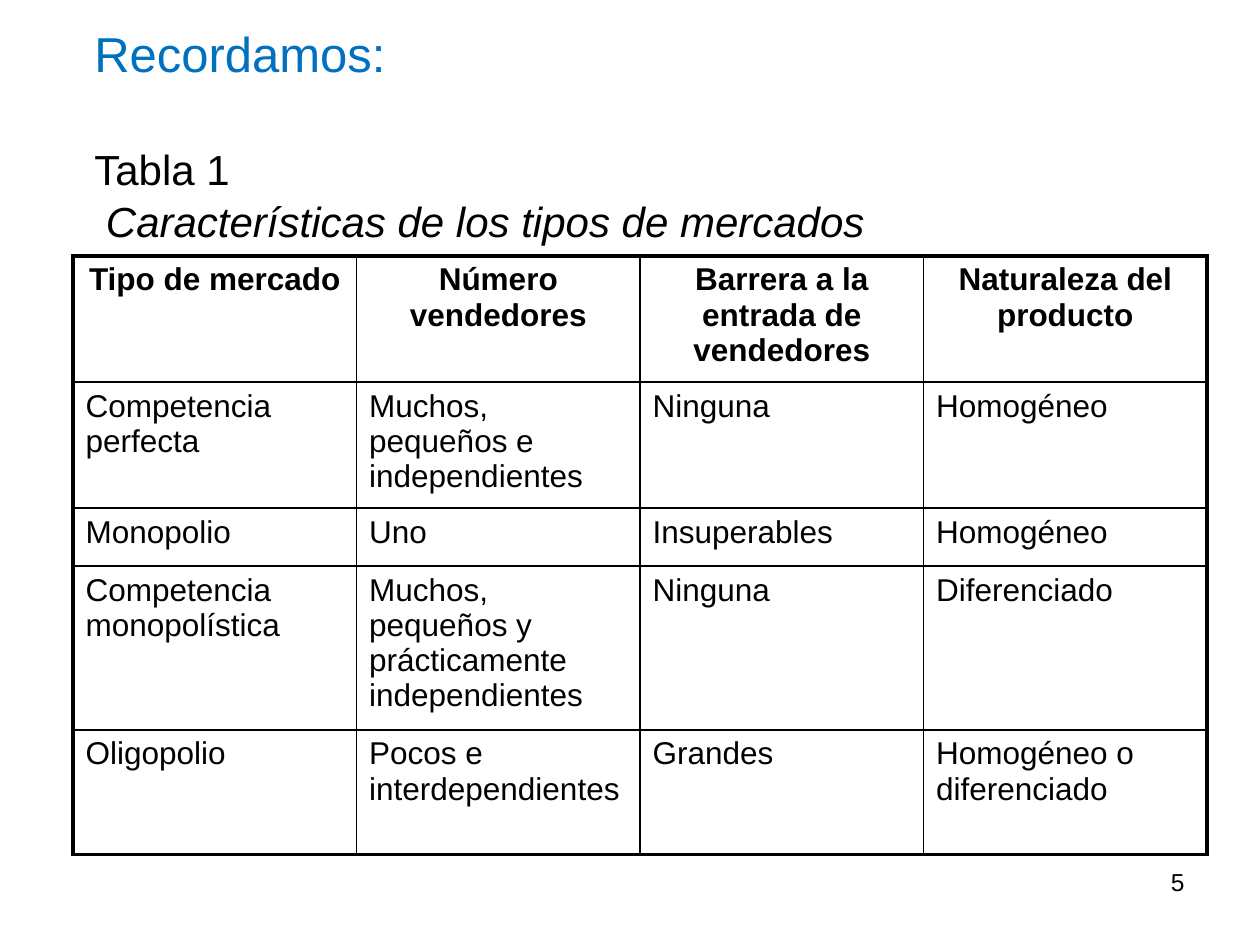
import pptx
import pptx.util
import pptx.dml.color
import pptx.enum.text
import pptx.oxml.ns
from lxml import etree

Pt = pptx.util.Pt
Align = pptx.enum.text.PP_ALIGN
BLACK = pptx.dml.color.RGBColor(0, 0, 0)
BLUE = pptx.dml.color.RGBColor(0x00, 0x70, 0xC0)
WIDE, HIGH = pptx.util.Inches(10), pptx.util.Inches(7.5)
THIN, THICK = Pt(1), Pt(2.25)

ROWS = [
    ["Tipo de mercado", "Número vendedores",
     "Barrera a la entrada de vendedores", "Naturaleza del producto"],
    ["Competencia perfecta", "Muchos, pequeños e independientes",
     "Ninguna", "Homogéneo"],
    ["Monopolio", "Uno", "Insuperables", "Homogéneo"],
    ["Competencia monopolística",
     "Muchos, pequeños y prácticamente independientes",
     "Ninguna", "Diferenciado"],
    ["Oligopolio", "Pocos e interdependientes",
     "Grandes", "Homogéneo o diferenciado"],
]
TALLS = [0.99, 0.99, 0.46, 1.22, 0.99]
HEADS = [
    ("Recordamos:", {"size": Pt(28)}, BLUE, 0),
    ("Tabla 1", {"size": Pt(24)}, BLACK, 35),
    (" Características de los tipos de mercados",
     {"size": Pt(24), "italic": True}, BLACK, 1),
]


def share(left, top, wide, high):
    """Turn shares of the slide into a box of lengths."""
    return (round(left * WIDE), round(top * HIGH),
            round(wide * WIDE), round(high * HIGH))


def style(para, form, color=BLACK, align=Align.LEFT):
    """Set the look of a paragraph from a dict of font values."""
    para.alignment = align
    for key, val in {"name": "Arial", **form}.items():
        setattr(para.font, key, val)
    para.font.color.rgb = color


def frame(slide, box):
    """Add a wrapping text box and return its text frame."""
    text = slide.shapes.add_textbox(*box).text_frame
    text.word_wrap = True
    return text


def title(slide, box):
    """Place the heading and the caption of the table."""
    text = frame(slide, box)
    text.margin_top = 0
    for i, (words, form, color, gap) in enumerate(HEADS):
        para = text.add_paragraph() if i else text.paragraphs[0]
        para.text = words
        if gap:
            para.space_before = Pt(gap)
        style(para, form, color)


def edge(cell, side, width):
    """Draw one border of a cell."""
    name = pptx.oxml.ns.qn
    line = etree.SubElement(cell._tc.get_or_add_tcPr(),
                            name("a:ln" + side), w=str(width))
    fill = etree.SubElement(line, name("a:solidFill"))
    etree.SubElement(fill, name("a:srgbClr"), val=str(BLACK))


def market(slide, box):
    """Place the table of market types."""
    left, top, wide, high = box
    rows, cols = len(ROWS), len(ROWS[0])
    table = slide.shapes.add_table(rows, cols, *box).table
    table.first_row = table.horz_banding = False
    for col in table.columns:
        col.width = wide // cols
    for r, words in enumerate(ROWS):
        table.rows[r].height = round(high * TALLS[r] / sum(TALLS))
        for c, word in enumerate(words):
            cell = table.cell(r, c)
            cell.text = word
            style(cell.text_frame.paragraphs[0],
                  {"size": Pt(18), "bold": r == 0},
                  align=Align.LEFT if r else Align.CENTER)
            outer = {"L": c == 0, "R": c == cols - 1,
                     "T": r == 0, "B": r == rows - 1}
            for side, rim in outer.items():
                edge(cell, side, THICK if rim else THIN)
            cell.fill.background()


def number(slide, box):
    """Place the page number."""
    para = frame(slide, box).paragraphs[0]
    para.text = "5"
    style(para, {"size": Pt(14)}, align=Align.RIGHT)


def main():
    """Build the slide and save it."""
    deck = pptx.Presentation()
    deck.slide_width, deck.slide_height = WIDE, HIGH
    slide = deck.slides.add_slide(deck.slide_layouts[6])
    title(slide, share(0.065, 0.025, 0.912, 0.23))
    market(slide, share(0.058, 0.271, 0.9, 0.62))
    number(slide, share(0.717, 0.911, 0.233, 0.07))
    deck.save("out.pptx")


if __name__ == "__main__":
    main()
